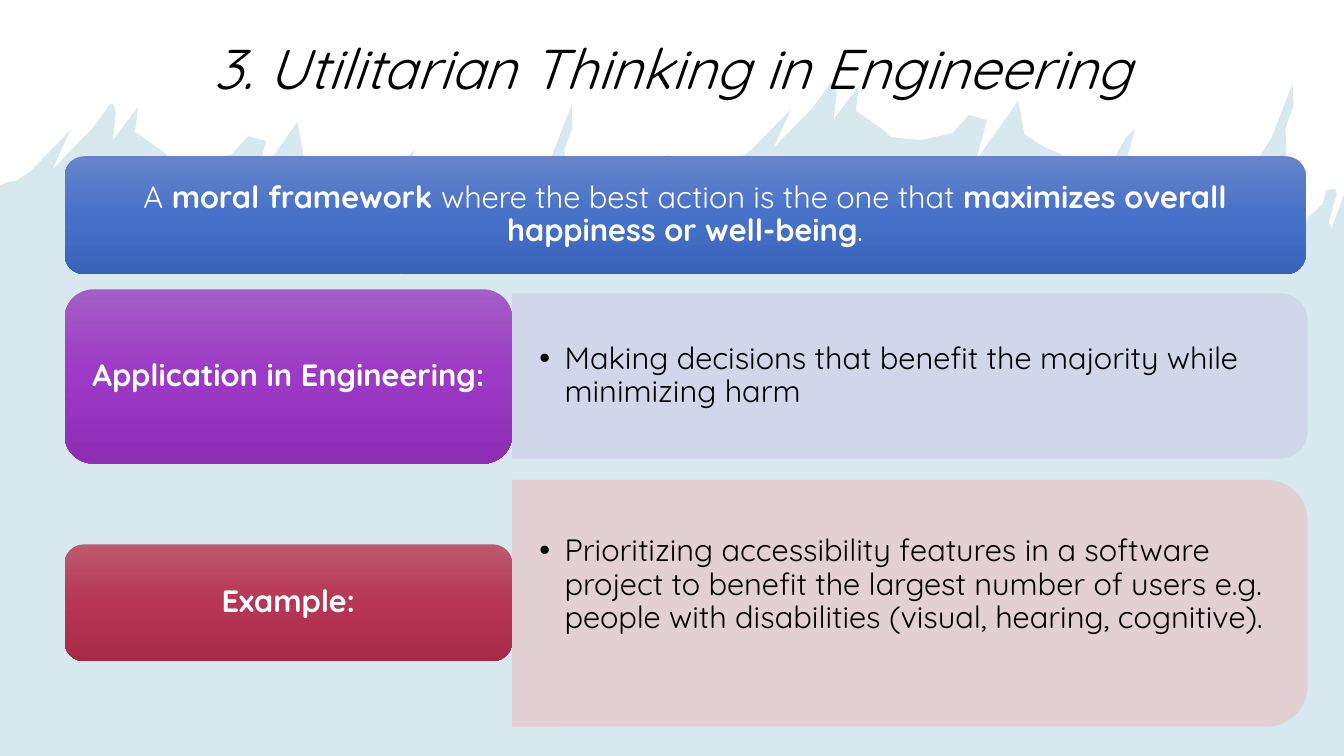
from copy import deepcopy

from lxml.etree import SubElement
from pptx import Presentation
from pptx.dml.color import RGBColor
from pptx.enum.shapes import MSO_SHAPE
from pptx.enum.text import MSO_ANCHOR, PP_ALIGN
from pptx.oxml.ns import qn
from pptx.util import Inches, Pt

BLACK = RGBColor(0x00, 0x00, 0x00)
WHITE = RGBColor(0xFF, 0xFF, 0xFF)
TEAL = RGBColor(0x3B, 0x94, 0xB1)
LAVENDER = RGBColor(0xD0, 0xD6, 0xE9)
ROSE = RGBColor(0xE4, 0xCE, 0xD1)
BLUES = (RGBColor(0x67, 0x84, 0xCA), RGBColor(0x47, 0x72, 0xC9), RGBColor(0x39, 0x63, 0xB9))
PURPLES = (RGBColor(0xA5, 0x5E, 0xC6), RGBColor(0x9C, 0x39, 0xC5), RGBColor(0x8D, 0x2D, 0xB4))
REDS = (RGBColor(0xBC, 0x5A, 0x6E), RGBColor(0xB7, 0x35, 0x55), RGBColor(0xA8, 0x2A, 0x49))

SLIDE_W, SLIDE_H = 13.33, 7.5
LEFT, LABEL_W, PANEL_W = 0.64, 4.44, 7.89
PANEL_LEFT = LEFT + LABEL_W

# The splash crest appears twice, the left one shifted from the right one.
CREST = [
    (7.45, 1.49), (7.85, 1.08), (7.67, 1.47), (8.06, 1.07), (8.2, 0.88), (8.24, 0.82),
    (8.28, 0.83), (8.3, 0.91), (8.27, 1.18), (8.52, 0.85), (8.49, 1.1), (8.59, 1.17),
    (8.75, 1.28), (8.84, 1.36), (9.13, 1.39), (9.45, 1.32), (9.61, 1.14), (9.79, 1.19),
    (9.68, 1.59), (10.1, 1), (10.12, 1.1), (10.16, 1.33), (10.36, 1.46), (10.53, 1.53),
    (10.55, 1.73), (10.52, 1.88), (10.56, 2.06), (10.54, 2.21), (10.57, 2.34), (10.7, 2.21),
    (10.7, 2.03), (10.78, 1.91), (10.93, 1.79), (11.17, 1.36), (11.26, 1.28), (10.91, 2.5),
    (11.05, 2.12), (11.02, 2.38), (11.12, 2.52), (11.24, 2.41), (11.3, 2.35), (11.51, 2.19),
    (11.54, 2.3), (11.58, 2.35), (11.64, 2.32), (11.83, 1.95), (11.98, 1.92), (12.01, 1.99),
    (11.99, 2.07), (12.11, 2.01), (12.23, 1.75), (12.29, 1.7), (12.32, 1.77), (12.33, 1.81),
    (12.61, 1.37), (12.82, 0.83), (12.83, 1.05), (12.75, 1.27), (12.76, 1.5), (12.72, 1.72),
    (12.72, 1.91), (12.78, 1.74), (12.88, 1.67), (12.97, 1.69), (12.94, 1.76), (12.84, 1.85),
    (12.9, 1.87), (12.95, 1.92), (12.92, 2.21), (13.12, 2.02), (13.15, 1.89),
]
CREST_SHIFT = (-7.15, 0.21)
VALLEY = [
    (6.06, 2.07), (6.1, 2.04), (6.27, 2), (6.34, 1.94), (6.43, 1.79), (6.63, 1.53),
    (6.68, 1.62), (6.56, 1.9), (6.53, 2.1), (6.74, 1.82), (7.01, 1.54), (6.96, 1.75),
    (7, 1.76), (7.32, 1.58),
]
LEFT_EDGE = [(0, SLIDE_H), (0, 1.84), (0.07, 1.81), (0.17, 1.79)]
RIGHT_EDGE = [(13.24, 1.87), (13.26, 1.92), (13.18, 2.21), (13.21, 2.26),
              (SLIDE_W, 1.93), (SLIDE_W, SLIDE_H)]


class SlideBuilder:
    font = "Quicksand"
    size = 22

    def __init__(self, slide):
        self.slide = slide

    def _solid(self, s, color, opacity):
        s.shadow.inherit = False
        s.fill.solid()
        s.fill.fore_color.rgb = color
        s.line.fill.background()
        for clr in s._element.spPr.iter(qn("a:srgbClr")):
            SubElement(clr, qn("a:alpha")).set("val", str(opacity * 1000))

    def _write(self, s, runs, color, size=None, align=PP_ALIGN.CENTER, italic=None,
               inset=(0.1, 0.05)):
        """Fill a shape with one paragraph of (text, bold) runs and return it."""
        tf = s.text_frame
        tf.word_wrap = True
        tf.vertical_anchor = MSO_ANCHOR.MIDDLE
        tf.margin_left = tf.margin_right = Inches(inset[0])
        tf.margin_top = tf.margin_bottom = Inches(inset[1])
        p = tf.paragraphs[0]
        p.alignment = align
        p.line_spacing = 0.9
        for text, bold in runs:
            r = p.add_run()
            r.text = text
            r.font.name = self.font
            r.font.size = Pt(size or self.size)
            r.font.bold = bold
            r.font.italic = italic
            r.font.color.rgb = color
        return p

    def splash(self, points, color, opacity):
        points = [(Inches(x), Inches(y)) for x, y in points]
        fb = self.slide.shapes.build_freeform(*points[0])
        fb.add_line_segments(points[1:], close=True)
        self._solid(fb.convert_to_shape(), color, opacity)

    def title(self, text, x, y, w, h):
        s = self.slide.shapes.add_textbox(Inches(x), Inches(y), Inches(w), Inches(h))
        self._write(s, [(text, False)], BLACK, size=40, italic=True)

    def label(self, runs, x, y, w, h, colors):
        """Rounded box with a top-to-bottom gradient."""
        s = self.slide.shapes.add_shape(
            MSO_SHAPE.ROUNDED_RECTANGLE, Inches(x), Inches(y), Inches(w), Inches(h))
        s.shadow.inherit = False
        s.line.fill.background()
        s.fill.gradient()
        s.fill.gradient_angle = 270
        first = s._element.spPr.find(".//" + qn("a:gs"))
        first.addnext(deepcopy(first))
        for stop, color, position in zip(s.fill.gradient_stops, colors, (0, 0.5, 1)):
            stop.color.rgb = color
            stop.position = position
        self._write(s, runs, WHITE, inset=(0.15, 0.1))

    def panel(self, x, y, w, h, color):
        """Panel rounded on its right side: a top-rounded box turned a quarter."""
        s = self.slide.shapes.add_shape(
            MSO_SHAPE.ROUND_2_SAME_RECTANGLE, Inches(x + (w - h) / 2),
            Inches(y + (h - w) / 2), Inches(h), Inches(w))
        s.rotation = 90
        self._solid(s, color, 90)

    def bullet(self, text, x, y, w, h):
        s = self.slide.shapes.add_textbox(Inches(x), Inches(y), Inches(w), Inches(h))
        p = self._write(s, [(text, False)], BLACK, align=PP_ALIGN.LEFT, inset=(0.27, 0.14))
        pPr = p._p.get_or_add_pPr()
        pPr.set("marL", str(Inches(0.25)))
        pPr.set("indent", str(Inches(-0.25)))
        SubElement(pPr, qn("a:buFont")).set("typeface", "Arial")
        SubElement(pPr, qn("a:buChar")).set("char", "•")


def main():
    prs = Presentation()
    prs.slide_width, prs.slide_height = Inches(SLIDE_W), Inches(SLIDE_H)
    b = SlideBuilder(prs.slides.add_slide(prs.slide_layouts[6]))

    dx, dy = CREST_SHIFT
    left_crest = [(x + dx, y + dy) for x, y in CREST]
    b.splash(LEFT_EDGE + left_crest + VALLEY + CREST + RIGHT_EDGE, TEAL, 20)

    b.title("3. Utilitarian Thinking in Engineering", 0.92, 0.27, 11.5, 0.87)
    b.label([("A ", False), ("moral framework ", True),
             ("where the best action is the one that ", False),
             ("maximizes overall happiness or well-being", True), (".", False)],
            LEFT, 1.55, 12.31, 1.17, BLUES)

    b.panel(PANEL_LEFT, 2.91, PANEL_W, 1.64, LAVENDER)
    b.bullet("Making decisions that benefit the majority while minimizing harm",
             PANEL_LEFT, 2.99, 7.81, 1.48)
    b.label([("Application in Engineering:", True)], LEFT, 2.87, LABEL_W, 1.73, PURPLES)

    b.panel(PANEL_LEFT, 4.76, PANEL_W, 2.45, ROSE)
    b.bullet("Prioritizing accessibility features in a software project to benefit the "
             "largest number of users e.g. people with disabilities (visual, hearing, "
             "cognitive).", PANEL_LEFT, 4.87, 7.77, 1.87)
    b.label([("Example:", True)], LEFT, 5.4, LABEL_W, 1.16, REDS)

    prs.save("out.pptx")


if __name__ == "__main__":
    main()
